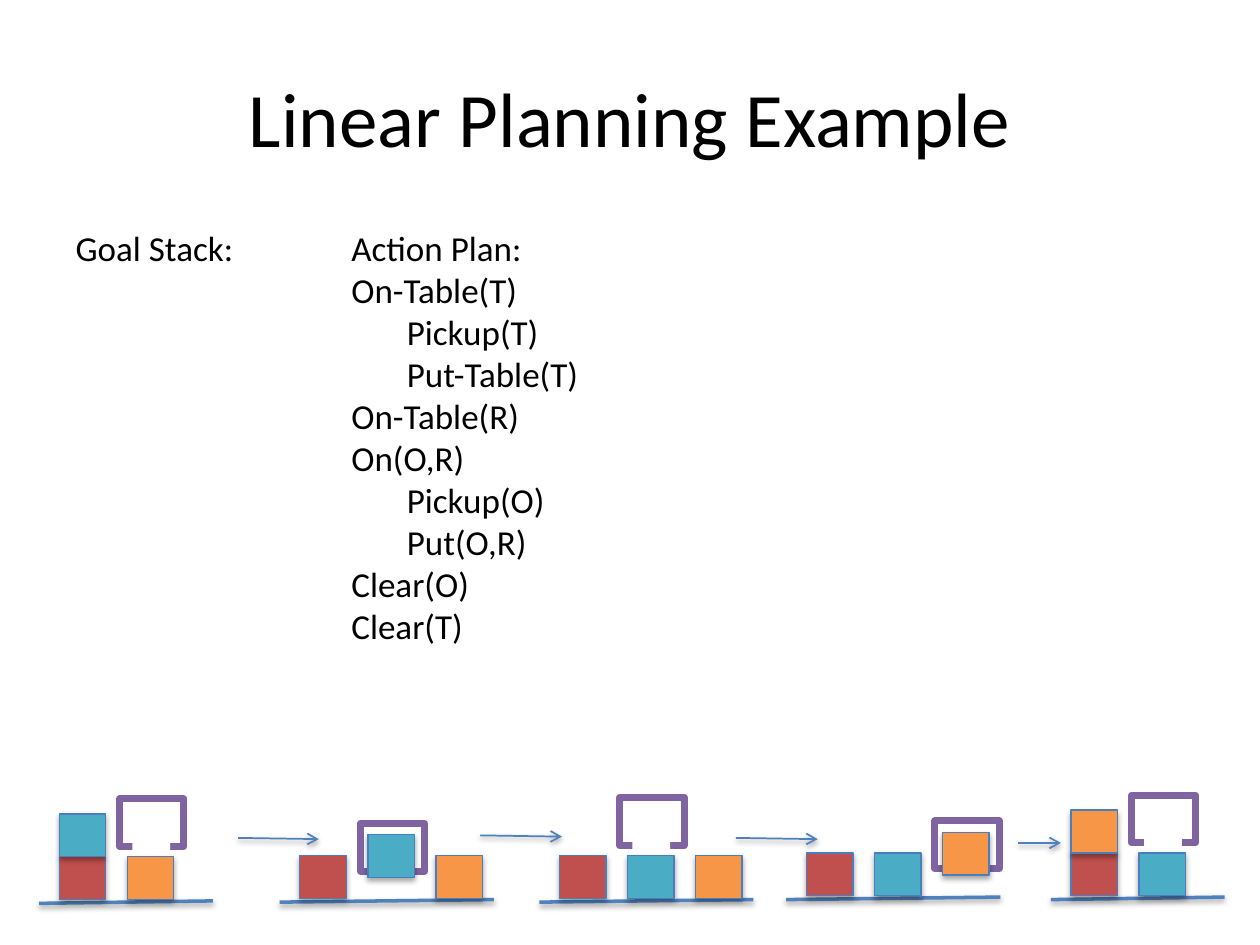
from dataclasses import dataclass
from typing import Any, NamedTuple, Optional

from lxml.etree import SubElement
from pptx import Presentation
from pptx.dml.color import RGBColor
from pptx.enum.shapes import MSO_CONNECTOR, MSO_SHAPE
from pptx.enum.text import MSO_ANCHOR, MSO_AUTO_SIZE, PP_ALIGN
from pptx.oxml.ns import qn
from pptx.util import Emu, Inches, Pt

COLS, ROWS = 100, 75


@dataclass(frozen=True)
class Theme:
    """Colours, type sizes and line widths of the slide."""
    font: str = "Calibri"
    text: str = "000000"
    paper: str = "FFFFFF"
    red: str = "C0504D"
    teal: str = "4BACC6"
    orange: str = "F79646"
    edge: str = "4B7EBC"
    line: str = "4F81BD"
    gripper: str = "8064A2"
    title_pt: float = 44
    body_pt: float = 20
    edge_pt: float = 0.75
    table_pt: float = 2
    arrow_pt: float = 1
    gripper_pt: float = 4


class Box(NamedTuple):
    """A rectangle in grid columns and rows."""
    x: float
    y: float
    w: float
    h: float


class Block(NamedTuple):
    """A coloured block in a slot, at a stacking level or held."""
    color: str
    slot: int
    level: int = 0
    held: bool = False


class Scene(NamedTuple):
    """One state of the block world."""
    x: float
    y: float
    table: float
    gripper_slot: int
    blocks: tuple


class Arrow(NamedTuple):
    """A step from one scene to the next."""
    x: float
    y: float
    w: float
    drop: float


T = Theme()
BLOCK_W, BLOCK_H, PITCH, HELD_LIFT = 3.7, 3.4, 5.4, 1.65
RED, TEAL, ORANGE = Block(T.red, 0), Block(T.teal, 1), Block(T.orange, 2)
SCENES = (
    Scene(4.7, 68, 13.8, 1, (RED, Block(T.teal, 0, 1), Block(T.orange, 1))),
    Scene(23.8, 67.9, 17, 1, (RED, ORANGE, Block(T.teal, 1, held=True))),
    Scene(44.4, 67.9, 17, 1, (RED, TEAL, ORANGE)),
    Scene(64, 67.7, 17, 2, (RED, TEAL, Block(T.orange, 2, held=True))),
    Scene(85, 67.7, 13.8, 1, (RED, TEAL, Block(T.orange, 0, 1))),
)
ARROWS = (Arrow(18.9, 66.5, 6.4, 0.1), Arrow(38.1, 66.3, 6.5, 0.1),
          Arrow(58.4, 66.5, 6.5, 0.1), Arrow(80.8, 66.9, 3.4, 0))
PLAN = (("Action Plan:", 0), ("On-Table(T)", 0), ("Pickup(T)", 1),
        ("Put-Table(T)", 1), ("On-Table(R)", 0), ("On(O,R)", 0),
        ("Pickup(O)", 1), ("Put(O,R)", 1), ("Clear(O)", 0), ("Clear(T)", 0))

prs = Presentation()
prs.slide_width, prs.slide_height = Inches(10), Inches(7.5)


def col(n: float) -> Emu:
    """Convert grid columns to a length."""
    return Emu(round(prs.slide_width * n / COLS))


def row(n: float) -> Emu:
    """Convert grid rows to a length."""
    return Emu(round(prs.slide_height * n / ROWS))


def apply(obj: Any, values: dict) -> None:
    """Set every named attribute on an object."""
    for name, value in values.items():
        setattr(obj, name, value)


def place(sp: Any, box: Box) -> None:
    """Move a shape to a grid box."""
    apply(sp, {"left": col(box.x), "top": row(box.y),
               "width": col(box.w), "height": row(box.h)})


def add_shadow(sp: Any, dist: int, alpha: int) -> None:
    """Give a shape or connector a soft shadow straight below."""
    pr = sp._element.spPr
    effects = pr.find(qn("a:effectLst"))
    if effects is None:
        effects = SubElement(pr, qn("a:effectLst"))
    shadow = SubElement(effects, qn("a:outerShdw"), blurRad="40000",
                        dist=str(dist), dir="5400000", rotWithShape="0")
    color = SubElement(shadow, qn("a:srgbClr"), val=T.text)
    SubElement(color, qn("a:alpha"), val=str(alpha * 1000))


def add_rect(s: Any, box: Box, fill: Optional[str] = None,
             line: Optional[str] = None, width: float = 0) -> Any:
    """Draw a rectangle with optional fill and outline."""
    sp = s.shapes.add_shape(MSO_SHAPE.RECTANGLE, 0, 0, 0, 0)
    place(sp, box)
    sp.shadow.inherit = False
    for fmt, color in ((sp.fill, fill), (sp.line.fill, line)):
        if color:
            fmt.solid()
            fmt.fore_color.rgb = RGBColor.from_string(color)
        else:
            fmt.background()
    if line:
        sp.line.width = Pt(width)
    return sp


def add_line(s: Any, x: float, y: float, w: float, drop: float,
             width: float, arrow: bool = False) -> None:
    """Draw a shadowed line, with an arrowhead on request."""
    sp = s.shapes.add_connector(MSO_CONNECTOR.STRAIGHT, col(x), row(y),
                                col(x + w), row(y + drop))
    sp.line.color.rgb = RGBColor.from_string(T.line)
    sp.line.width = Pt(width)
    if arrow:
        SubElement(sp._element.spPr.find(qn("a:ln")), qn("a:tailEnd"), type="arrow")
    add_shadow(sp, 20000, 38)


def add_scene(s: Any, scene: Scene) -> None:
    """Draw the table, gripper and blocks of one scene."""
    add_line(s, scene.x - 1.6, scene.y + 3.7, scene.table, -0.2, T.table_pt)
    holding = any(b.held for b in scene.blocks)
    x = scene.x + scene.gripper_slot * PITCH - 0.6
    y = scene.y - (2.55 if holding else 4.6)
    add_rect(s, Box(x, y, 5.1, 3.8), None, T.gripper, T.gripper_pt)
    if not holding:
        add_rect(s, Box(x + 1, y + 3.1, 3, 1.2), T.paper)
    for b in scene.blocks:
        top = scene.y - b.level * BLOCK_H - b.held * HELD_LIFT
        sp = add_rect(s, Box(scene.x + b.slot * PITCH, top, BLOCK_W, BLOCK_H),
                      b.color, T.edge, T.edge_pt)
        add_shadow(sp, 23000, 35)


def fill_text(sp: Any, box: Box, lines: tuple, size: float,
              align: PP_ALIGN = PP_ALIGN.LEFT,
              anchor: MSO_ANCHOR = MSO_ANCHOR.TOP) -> None:
    """Place a text shape and write its lines with indent levels."""
    place(sp, box)
    tf = sp.text_frame
    apply(tf, {"word_wrap": True, "auto_size": MSO_AUTO_SIZE.NONE,
               "vertical_anchor": anchor})
    for i, (text, level) in enumerate(lines):
        p = tf.paragraphs[0] if i == 0 else tf.add_paragraph()
        apply(p, {"alignment": align, "space_before": Pt(0)})
        pr = p._p.get_or_add_pPr()
        apply_indent = {"marL": str(col(4.4 * level)), "indent": "0"}
        for name, value in apply_indent.items():
            pr.set(name, value)
        SubElement(pr, qn("a:buNone"))
        r = p.add_run()
        r.text = text
        apply(r.font, {"name": T.font, "size": Pt(size)})
        r.font.color.rgb = RGBColor.from_string(T.text)


def main() -> None:
    """Build and save the slide."""
    s = prs.slides.add_slide(prs.slide_layouts[1])
    fill_text(s.shapes.title, Box(5, 3, 90, 12.5),
              (("Linear Planning Example", 0),), T.title_pt,
              PP_ALIGN.CENTER, MSO_ANCHOR.MIDDLE)
    fill_text(s.placeholders[1], Box(5, 17.5, 17.4, 26.6),
              (("Goal Stack:", 0),), T.body_pt)
    fill_text(s.shapes.add_textbox(0, 0, 0, 0), Box(26.9, 17.5, 41.5, 43.2),
              PLAN, T.body_pt)
    for scene in SCENES:
        add_scene(s, scene)
    for arrow in ARROWS:
        add_line(s, *arrow, T.arrow_pt, arrow=True)
    prs.save("out.pptx")


if __name__ == "__main__":
    main()
